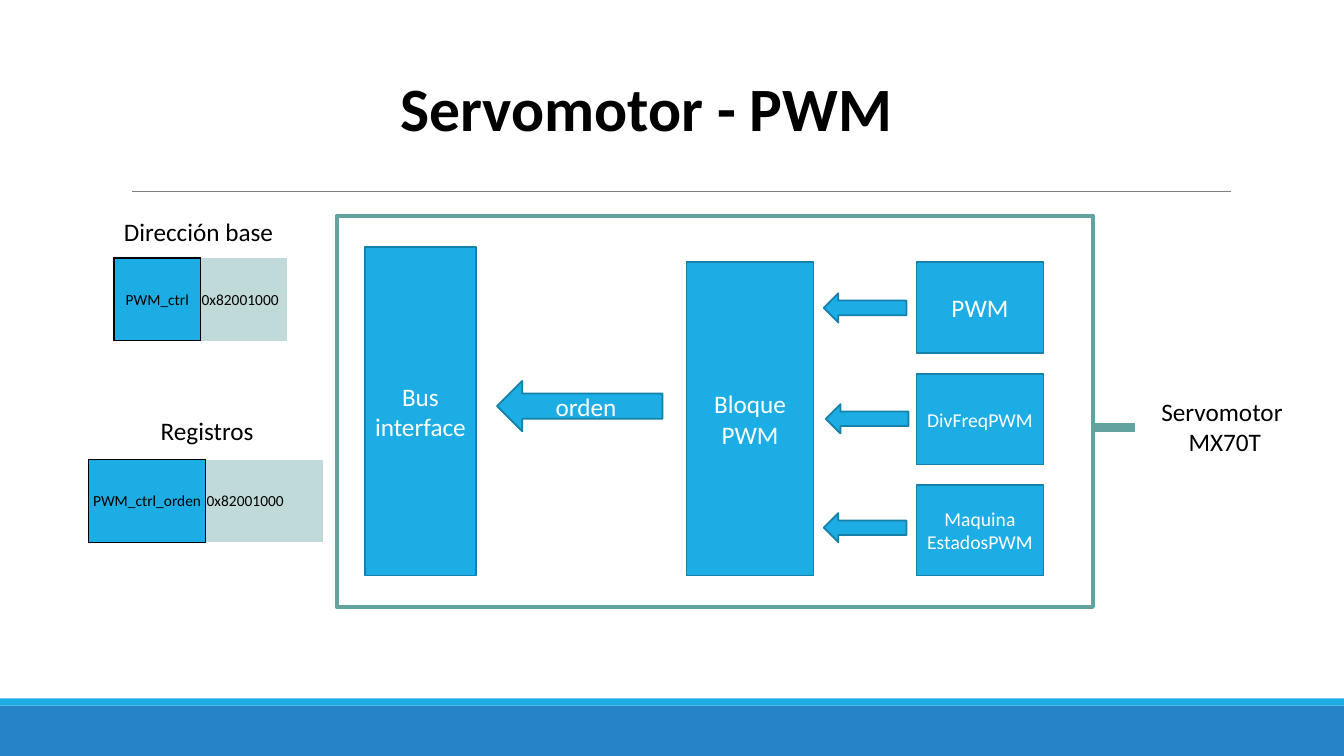
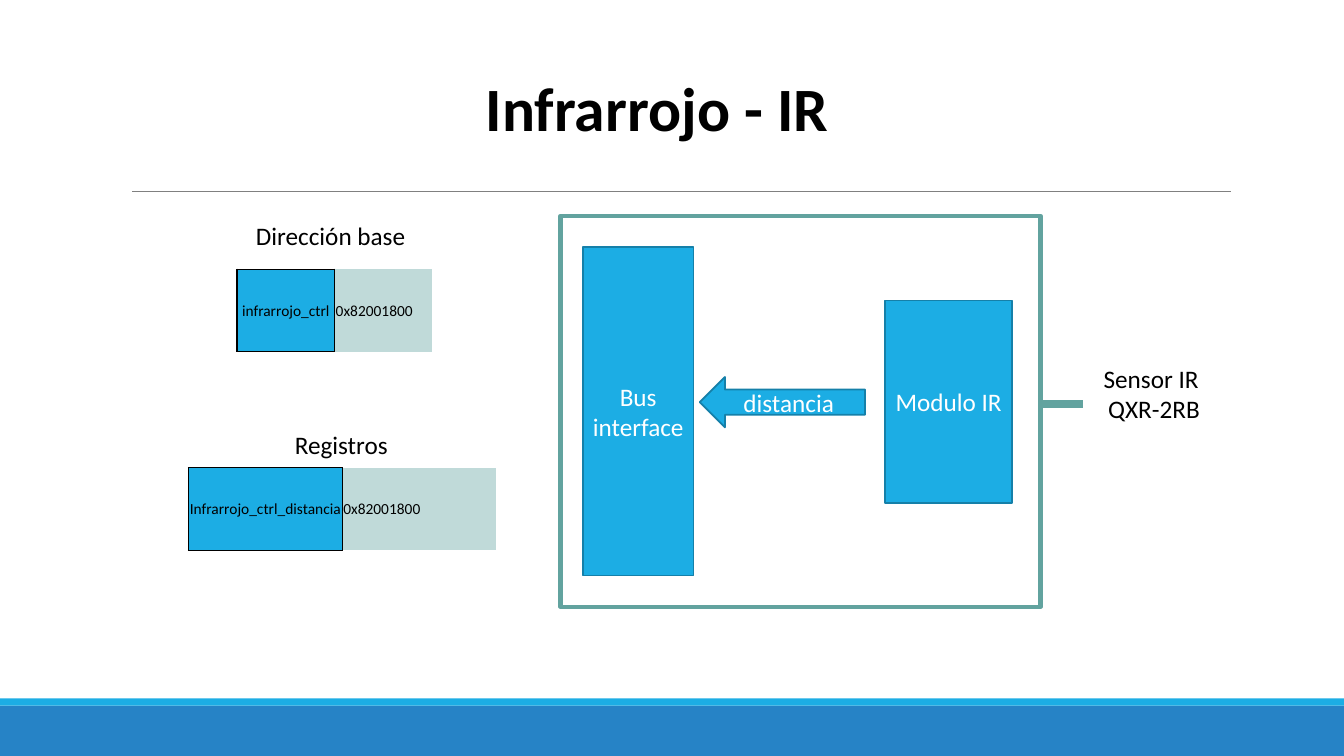
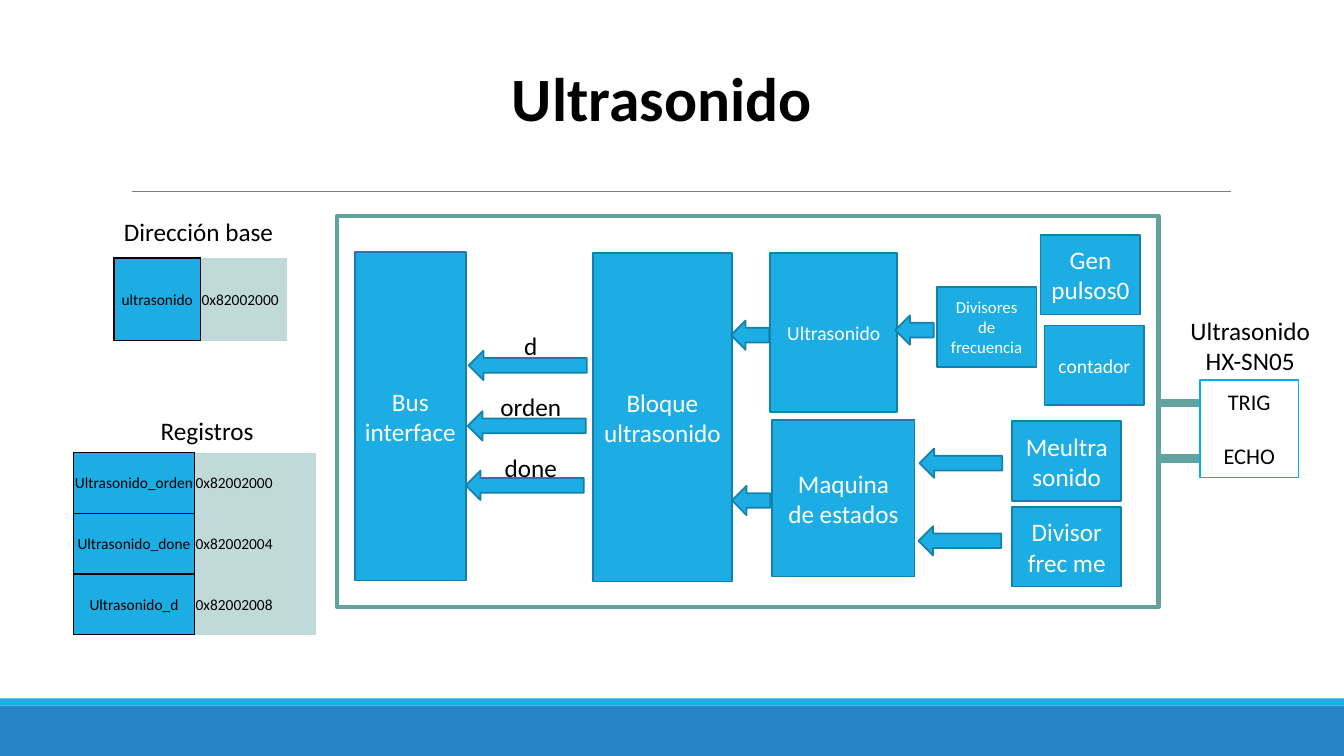
"""Three block diagrams of peripherals, laid out on a grid of 75 rows."""
from lxml.etree import SubElement
from pptx import Presentation
from pptx.dml.color import RGBColor
from pptx.enum.shapes import MSO_CONNECTOR, MSO_SHAPE
from pptx.enum.text import MSO_ANCHOR, PP_ALIGN
from pptx.oxml.ns import qn
from pptx.util import Inches, Pt

INK = {
    "black": "000000", "white": "FFFFFF", "blue": "1CADE4", "edge": "1580A9",
    "band": "2683C6", "teal": "62A39F", "pale": "C0DAD9", "rule": "808080",
    "port": "00B0F0",
}
RECT, ARROW = MSO_SHAPE.RECTANGLE, MSO_SHAPE.LEFT_ARROW
MID, TOP = MSO_ANCHOR.MIDDLE, MSO_ANCHOR.TOP
LEFT, MIDST = PP_ALIGN.LEFT, PP_ALIGN.CENTER
PLAIN = "{2D5ABB26-0587-4C30-8999-92F81FD0307C}"

LOOKS = {
    "band": dict(form=RECT, fill="band"),
    "strip": dict(form=RECT, fill="blue"),
    "frame": dict(form=RECT, line="teal", thick=3),
    "block": dict(form=RECT, fill="blue", line="edge", thick=1.25),
    "arrow": dict(form=ARROW, fill="blue", line="edge", thick=1.25),
    "port": dict(form=RECT, line="port", thick=1, ink="black", gap=19.5),
    "title": dict(ink="black", par=dict(alignment=LEFT, line_spacing=0.9),
                  font=dict(bold=True)),
    "head": dict(ink="black", body=dict(vertical_anchor=TOP, word_wrap=True)),
    "tag": dict(ink="black", body=dict(vertical_anchor=TOP, word_wrap=False)),
    "sign": dict(ink="black", gap=22,
                 body=dict(vertical_anchor=TOP, word_wrap=False)),
}

BUS, LOW = 32.6, 2.9
PAGES = [
    dict(
        title=("Servomotor - PWM", 38.7, 1.8, 58.9),
        frame=(33.4, 75), wires=[42.4],
        heads=[(11.3, 21), (11.3, 40.7)],
        tables=[
            (11.3, 25.6, 8.6, 8.2, [("PWM_ctrl", "0x82001000")]),
            (8.8, 45.6, 11.6, 8.2, [("PWM_ctrl_orden", "0x82001000")]),
        ],
        parts=[
            ("tag", 114.1, 38.8, 14.2, 7.1, "Servomotor\n MX70T", 18),
            ("block", 36.2, 24.5, 11, BUS, "Bus interface", 18),
            ("arrow", 49.3, 37.8, 16.4, 5, "orden", 18),
            ("block", 68.1, 26, 12.6, 31.1, "Bloque\nPWM", 18),
            ("block", 90.9, 26, 12.6, 9, "PWM", 18),
            ("block", 90.9, 37.1, 12.6, 9, "DivFreqPWM", 14),
            ("block", 90.9, 48.1, 12.6, 9, "Maquina\nEstadosPWM", 14),
            ("arrow", 81.7, 29.1, 8.2, LOW, "", 18),
            ("arrow", 81.9, 40.1, 8.2, LOW, "", 18),
            ("arrow", 81.7, 50.9, 8.2, LOW, "", 18),
        ],
    ),
    dict(
        title=("Infrarrojo - IR", 47.2, 1.8, 42),
        frame=(55.6, 47.6), wires=[40.1],
        heads=[(24.4, 21.4), (24.6, 42.1)],
        tables=[
            (23.5, 26.7, 9.7, 8.2, [("infrarrojo_ctrl", "0x82001800")]),
            (18.7, 46.4, 15.25, 8.2,
             [("Infrarrojo_ctrl_distancia", "0x82001800")]),
        ],
        parts=[
            ("tag", 108.4, 35.5, 12.1, 7.1, "Sensor IR \nQXR-2RB", 18),
            ("block", 57.8, 24.5, 11, BUS, "Bus interface", 18),
            ("arrow", 69.4, 37.4, 16.4, 5, "distancia", 18),
            ("block", 87.8, 29.8, 12.6, 20.1, "Modulo IR", 18),
        ],
    ),
    dict(
        title=("Ultrasonido", 49.8, 0.8, 36.7),
        frame=(33.4, 81.5), wires=[40, 45.5],
        heads=[(11.3, 21), (11.3, 40.7)],
        tables=[
            (11.3, 25.6, 8.6, 8.2, [("ultrasonido", "0x82002000")]),
            (7.3, 44.9, 12, 18.1, [
                ("Ultrasonido_orden", "0x82002000"),
                ("Ultrasonido_done", "0x82002004"),
                ("Ultrasonido_d", "0x82002008"),
            ]),
        ],
        parts=[
            ("tag", 117, 30.8, 14, 7.1, "Ultrasonido\nHX-SN05", 18),
            ("block", 35.2, 25, 11, BUS, "Bus interface", 18),
            ("block", 103.2, 23.3, 9.9, 7.9, "Gen pulsos0", 18),
            ("block", 76.4, 25.1, 12.6, 15.8, "Ultrasonido", 14),
            ("block", 76.6, 41.7, 14.1, 15.5, "Maquina de estados", 18),
            ("block", 58.8, 25.1, 13.8, BUS, "Bloque ultrasonido", 18),
            ("block", 92.9, 28.5, 9.9, 7.9, "Divisores de frecuencia", 12),
            ("block", 103.6, 32.3, 9.9, 7.9, "contador", 14),
            ("block", 100.4, 41.8, 10.8, 7.9, "Meultrasonido", 18),
            ("block", 100.4, 50.3, 10.8, 7.9, "Divisor frec me", 18),
            ("arrow", 91.1, 52.2, 8.2, LOW, "", 18),
            ("arrow", 91.2, 44.5, 8.2, LOW, "", 18),
            ("arrow", 88.8, 31.3, 3.8, LOW, "", 18),
            ("arrow", 72.5, 31.8, 3.8, LOW, "", 18),
            ("arrow", 72.6, 48.2, 3.8, LOW, "", 18),
            ("arrow", 46.5, 34.8, 11.7, LOW, "", 18),
            ("arrow", 46.4, 40.8, 11.7, LOW, "", 18),
            ("arrow", 46.2, 46.7, 11.7, LOW, "", 18),
            ("sign", 48.6, 32.3, 8.1, 16.2, "d\norden\ndone", 18),
            ("port", 119, 37.7, 9.8, 9.7, "TRIG\nECHO", 16),
        ],
    ),
]

deck = Presentation()
deck.slide_width, deck.slide_height = Inches(13.33), Inches(7.5)
UNIT = deck.slide_height / 75
WIDE = deck.slide_width / UNIT
blank = deck.slide_layouts[6]


def put(page, kind, left, top, wide, high, text="", size=18):
    """Draw one shape or text box in the look of its kind."""
    look = LOOKS[kind]
    box = [round(n * UNIT) for n in (left, top, wide, high)]
    if "form" in look:
        item = page.shapes.add_shape(look["form"], *box)
        item.shadow.inherit = False
        for part, name in ((item.fill, "fill"), (item.line.fill, "line")):
            if name in look:
                part.solid()
                part.fore_color.rgb = RGBColor.from_string(INK[look[name]])
            else:
                part.background()
        if "thick" in look:
            item.line.width = Pt(look["thick"])
    else:
        item = page.shapes.add_textbox(*box)
    frame = item.text_frame
    body = dict(vertical_anchor=MID, word_wrap=True) | look.get("body", {})
    for name, value in body.items():
        setattr(frame, name, value)
    for row, line in enumerate(text.split("\n") if text else []):
        par = frame.add_paragraph() if row else frame.paragraphs[0]
        for name, value in (dict(alignment=MIDST) | look.get("par", {})).items():
            setattr(par, name, value)
        if row and "gap" in look:
            par.space_before = Pt(look["gap"])
        run = par.add_run()
        run.text = line
        font = dict(name="Calibri", size=Pt(size)) | look.get("font", {})
        for name, value in font.items():
            setattr(run.font, name, value)
        run.font.color.rgb = RGBColor.from_string(INK[look.get("ink", "white")])
    return item


def wire(page, left, top, wide, ink, thick):
    """Draw a level line."""
    ends = [round(n * UNIT) for n in (left, top, left + wide, top)]
    item = page.shapes.add_connector(MSO_CONNECTOR.STRAIGHT, *ends)
    item.line.color.rgb = RGBColor.from_string(INK[ink])
    item.line.width = Pt(thick)
    SubElement(item.element.spPr, qn("a:effectLst"))
    return item


pages = [deck.slides.add_slide(blank) for plan in PAGES]
for item in (
    put(pages[0], "band", 0, 70, WIDE, 5),
    put(pages[0], "strip", 0, 69.3, WIDE, 0.7),
    wire(pages[0], 13.1, 19, 109, "rule", 0.5),
):
    blank.shapes.element.append(item.element)

for page, plan in zip(pages, PAGES):
    text, left, top, wide = plan["title"]
    put(page, "title", left, top, wide, 18.6, text, 44)
    left, wide = plan["frame"]
    put(page, "frame", left, 21.4, wide, 38.8)
    for top in plan["wires"]:
        wire(page, left + wide, top, 4.2, "teal", 6)
    for (left, top), text in zip(plan["heads"], ("Dirección base", "Registros")):
        head = put(page, "head", left, top, 18.5, 4, text)
        if text != "Registros":
            head.text_frame.paragraphs[0].alignment = LEFT
    for part in plan["parts"]:
        put(page, *part)

    for left, top, wide, high, pairs in plan["tables"]:
        count = 3 * len(pairs)
        box = [round(n * UNIT) for n in (left, top, 2 * wide, high)]
        item = page.shapes.add_table(count, 2, *box)
        grid = item.table
        for name in ("first_row", "horz_banding"):
            setattr(grid, name, False)
        for mark in item.element.iter(qn("a:tableStyleId")):
            mark.text = PLAIN
        for row in range(count):
            grid.rows[row].height = round(high * UNIT / count)
            name, code = pairs[row // 3]
            first, second = row % 3 == 0, row % 3 == 1
            for col, text in enumerate((name if first else "", code if second else "")):
                cell = grid.cell(row, col)
                form = dict(margin_left=Inches(0.01), margin_right=Inches(0.01),
                            margin_top=Inches(0.01), margin_bottom=0,
                            vertical_anchor=MID)
                for key, value in form.items():
                    setattr(cell, key, value)
                par = cell.text_frame.paragraphs[0]
                par.alignment = LEFT if col else MIDST
                if text:
                    run = par.add_run()
                    run.text = text
                    for key, value in dict(name="Calibri", size=Pt(11)).items():
                        setattr(run.font, key, value)
                    run.font.color.rgb = RGBColor.from_string(INK["black"])
                else:
                    SubElement(par._p, qn("a:endParaRPr"), sz="1100")
                if text and not col:
                    rim = cell._tc.get_or_add_tcPr()
                    for side in "LRTB":
                        edge = SubElement(rim, qn("a:ln" + side), w=str(Pt(1)))
                        solid = SubElement(edge, qn("a:solidFill"))
                        SubElement(solid, qn("a:srgbClr"), val=INK["black"])
                cell.fill.solid()
                cell.fill.fore_color.rgb = RGBColor.from_string(
                    INK["pale" if col else "blue"])
        for row in range(0, count, 3):
            grid.cell(row, 0).merge(grid.cell(row + 2, 0))

deck.save("out.pptx")
